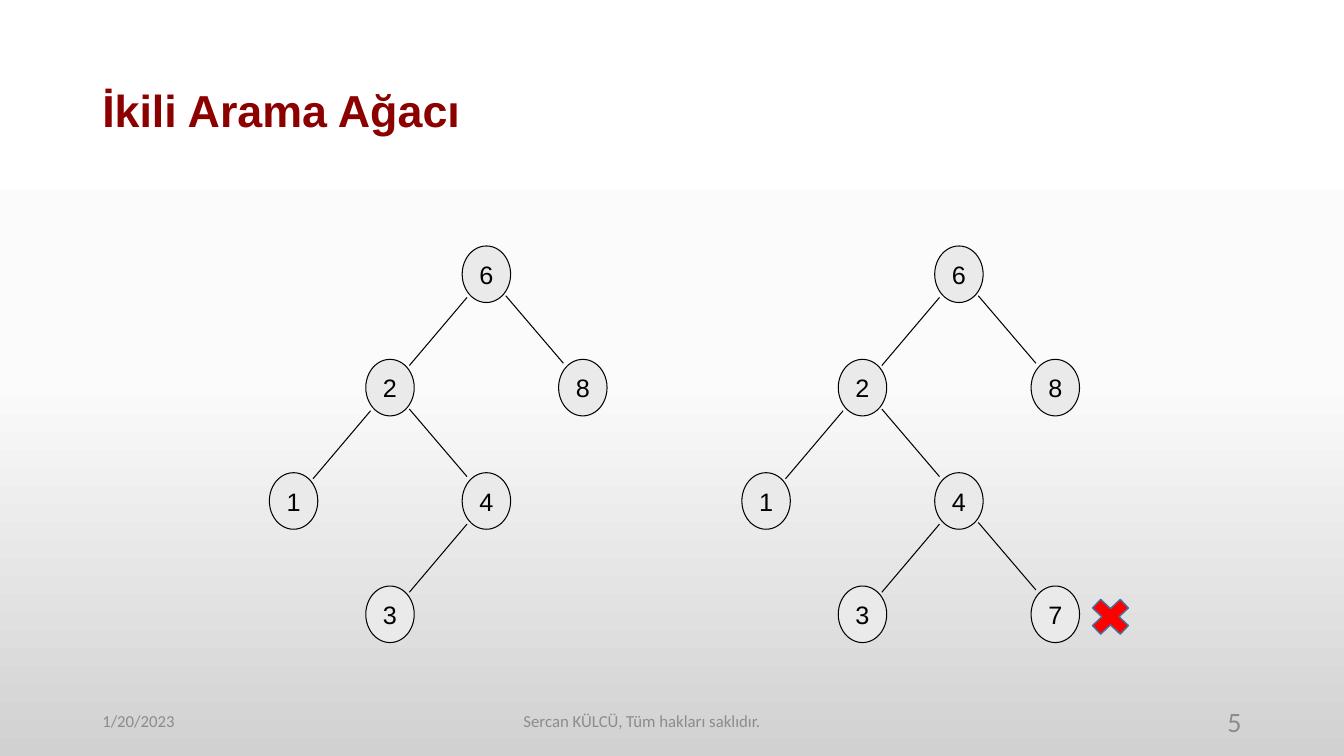
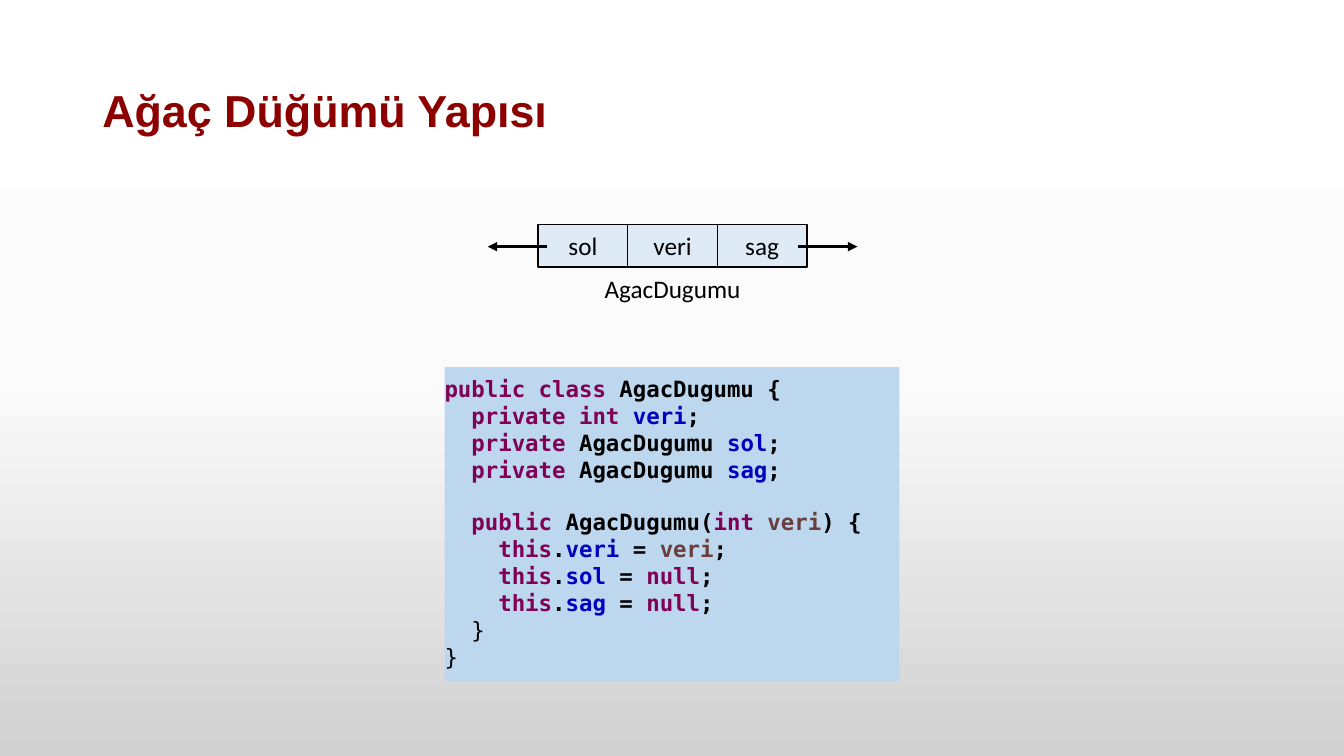
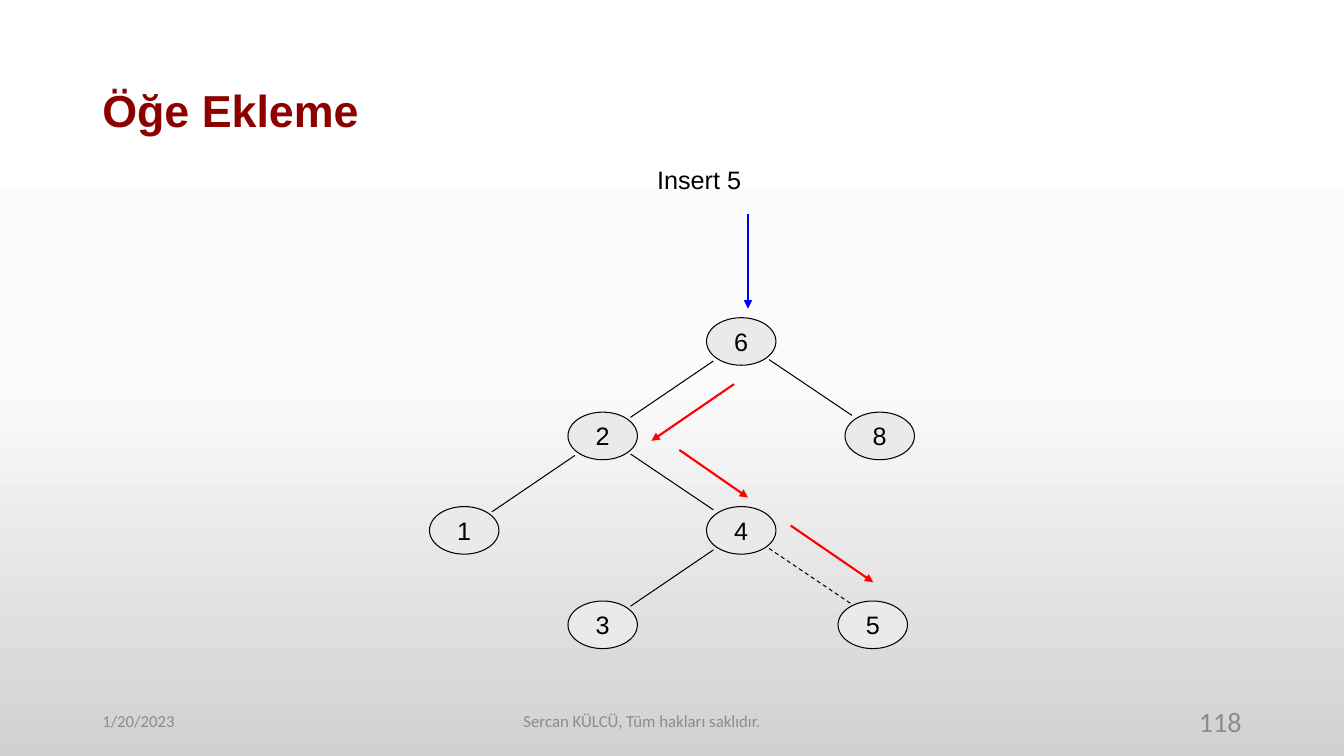
from copy import deepcopy

from pptx import Presentation
from pptx.dml.color import RGBColor
from pptx.enum.dml import MSO_LINE
from pptx.enum.shapes import MSO_CONNECTOR, MSO_SHAPE
from pptx.enum.text import MSO_ANCHOR as ANCHOR, PP_ALIGN as ALIGN
from pptx.oxml.ns import qn
from pptx.oxml.xmlchemy import OxmlElement
from pptx.util import Pt

COLORS = {
    "title": "8C0000", "footer": "8C8C8C", "ink": "000000",
    "node": "EAEAEA", "cell": "DEEBF7", "code_box": "BDD7EE",
    "insert": "0000FF", "path": "FF0000", "cross_line": "43739E",
    "keyword": "7F0055", "field": "0000C0", "param": "6A3E3E",
}
BACKGROUND = [(0, "FFFFFF"), (0.5, "FBFBFB"), (1, "D1D1D1")]
SANS, BODY, MONO = "Arial", "Calibri", "DejaVu Sans Mono"

# Tree content: value -> (column, row), and parent-child pairs
BASE_NODES = {6: (2, 0), 2: (1, 1), 8: (3, 1), 1: (0, 2), 4: (2, 2), 3: (1, 3)}
BASE_EDGES = [(6, 2), (6, 8), (2, 1), (2, 4), (4, 3)]


def rgb(name):
    return RGBColor.from_string(COLORS[name])


def style_run(r, size, font, color, bold=False):
    r.font.size, r.font.name, r.font.bold = Pt(size), font, bold
    r.font.color.rgb = rgb(color)


def set_text(sp, text, size, font, color="ink", align=ALIGN.LEFT, bold=False,
             anchor=ANCHOR.MIDDLE):
    tf = sp.text_frame
    tf.word_wrap, tf.vertical_anchor = True, anchor
    tf.text = text
    p = tf.paragraphs[0]
    p.alignment = align
    style_run(p.runs[0], size, font, color, bold)
    return p


def add_text(shapes, box, text, size, font, **style):
    sp = shapes.add_textbox(*map(Pt, box))
    return set_text(sp, text, size, font, **style)


def add_box(shapes, kind, box, fill, line=None, width=1):
    sp = shapes.add_shape(kind, *map(Pt, box))
    sp.shadow.inherit = False
    sp.fill.solid()
    sp.fill.fore_color.rgb = rgb(fill)
    if line:
        sp.line.color.rgb = rgb(line)
        sp.line.width = Pt(width)
    else:
        sp.line.fill.background()
    return sp


def add_line(shapes, start, end, color="ink", width=0.75, arrow=False, dash=False):
    c = shapes.add_connector(MSO_CONNECTOR.STRAIGHT, *map(Pt, (*start, *end)))
    c.line.color.rgb = rgb(color)
    c.line.width = Pt(width)
    if dash:
        c.line.dash_style = MSO_LINE.DASH
    sp_pr = c._element.spPr
    if arrow:
        tail = OxmlElement("a:tailEnd")
        tail.set("type", "triangle")
        sp_pr.find(qn("a:ln")).append(tail)
    sp_pr.append(OxmlElement("a:effectLst"))


def set_background(master):
    fill = master.background.fill
    fill.gradient()
    fill.gradient_angle = 270
    gs_list = next(master.element.iter(qn("a:gsLst")))
    gs_list.append(deepcopy(gs_list[0]))
    for stop, (pos, color) in zip(fill.gradient_stops, BACKGROUND):
        stop.position = pos
        stop.color.rgb = RGBColor.from_string(color)


def new_slide(prs, title, number=None):
    shapes = prs.slides.add_slide(prs.slide_layouts[6]).shapes
    p = add_text(shapes, (66, 28.8, 828, 104.4), title, 32, SANS,
                 color="title", bold=True)
    p.line_spacing = 0.9
    if number:
        footers = [(66, 216, "1/20/2023", 12, ALIGN.LEFT),
                   (185.6, 546, "Sercan KÜLCÜ, Tüm hakları saklıdır.", 12, ALIGN.CENTER),
                   (678, 216, number, 20, ALIGN.RIGHT)]
        for x, w, text, size, align in footers:
            add_text(shapes, (x, 500.5, w, 28.75), text, size, BODY,
                     color="footer", align=align)
    return shapes


def draw_tree(shapes, box, node_size, nodes, edges, dashed=()):
    """Spread nodes over a grid of 4 columns and 4 rows inside the box."""
    shapes = shapes.add_group_shape().shapes
    x, y, w, h = box
    nw, nh = node_size
    dx, dy = (w - nw) / 3, (h - nh) / 3

    for value, (col, row) in nodes.items():
        sp = add_box(shapes, MSO_SHAPE.OVAL, (x + col * dx, y + row * dy, nw, nh),
                     "node", "ink", 0.75)
        set_text(sp, str(value), 18, SANS, align=ALIGN.CENTER)
        tf = sp.text_frame
        tf.word_wrap = False
        tf.margin_left = tf.margin_right = tf.margin_top = tf.margin_bottom = 0

    def on_rim(value, fx, fy):
        col, row = nodes[value]
        return x + round(col) * dx + (0.5 + fx) * nw, y + row * dy + (0.5 + fy) * nh

    for parent, child in edges:
        if nodes[child][0] < nodes[parent][0]:
            ends = on_rim(parent, -0.4, 0.41), on_rim(child, 0.4, -0.39)
        else:
            ends = on_rim(parent, 0.4, 0.38), on_rim(child, -0.4, -0.43)
        add_line(shapes, *ends, dash=(parent, child) in dashed)


def draw_node_record(shapes, box):
    """Three cells with a pointer out of each end, and a caption below."""
    shapes = shapes.add_group_shape().shapes
    x, y, w, h = box
    cell_w = w / 3
    for i, name in enumerate(["sol", "veri", "sag"]):
        sp = add_box(shapes, MSO_SHAPE.RECTANGLE, (x + i * cell_w, y, cell_w, h),
                     "cell", "ink")
        set_text(sp, name, 18, BODY, align=ALIGN.CENTER)
    for edge, side in [(x, -1), (x + w, 1)]:
        add_line(shapes, (edge - side * 6.5, y + 15.8), (edge + side * 36, y + 15.8),
                 width=2.25, arrow=True)
    add_text(shapes, (x, y + h + 0.7, w, 29), "AgacDugumu", 18, BODY,
             align=ALIGN.CENTER, anchor=ANCHOR.TOP)


def code_lines():
    def field(kind, kind_color, name):
        return [("  private ", "keyword"), (kind, kind_color), (name, "field"), (";", "ink")]

    def assign(name, value, value_color):
        return [("    this", "keyword"), (".", "ink"), (name + " ", "field"),
                ("= ", "ink"), (value, value_color), (";", "ink")]

    return [
        [("public class ", "keyword"), ("AgacDugumu {", "ink")],
        field("int ", "keyword", "veri"),
        field("AgacDugumu ", "ink", "sol"),
        field("AgacDugumu ", "ink", "sag"),
        [("  public ", "keyword"), ("AgacDugumu(", "ink"), ("int ", "keyword"),
         ("veri", "param"), (") {", "ink")],
        assign("veri", "veri", "param"),
        assign("sol", "null", "keyword"),
        assign("sag", "null", "keyword"),
        [("  }", "ink")],
        [("}", "ink")],
    ]


def draw_code(shapes, box, lines, gap_before):
    tf = add_box(shapes, MSO_SHAPE.RECTANGLE, box, "code_box").text_frame
    tf.word_wrap, tf.vertical_anchor = True, ANCHOR.TOP
    tf.margin_left = tf.margin_right = 0
    tf.margin_top = tf.margin_bottom = Pt(5.76)
    for i, line in enumerate(lines):
        p = tf.add_paragraph() if i else tf.paragraphs[0]
        p.alignment = ALIGN.LEFT
        if i == gap_before:
            p.space_before = Pt(18.6)
        for text, color in line:
            r = p.add_run()
            r.text = text
            style_run(r, 16, MONO, color, bold=text.strip() != "}")


def draw_insertion(shapes, x, y):
    """Label and arrows that follow the new value down the tree at x, y."""
    add_text(shapes, (x + 155.5, y - 113, 130, 34.5), "Insert 5", 18, SANS,
             anchor=ANCHOR.TOP)
    steps = [((227.5, -74), (227.5, -6.5), "insert"),
             ((217.5, 47.5), (158.5, 88), "path"),
             ((178.5, 94.5), (227.5, 128.5), "path"),
             ((258, 148.5), (317, 189), "path")]
    for (x1, y1), (x2, y2), color in steps:
        add_line(shapes, (x + x1, y + y1), (x + x2, y + y2), color, 1.5, arrow=True)


def search_tree_slide(prs):
    shapes = new_slide(prs, "İkili Arama Ağacı", "5")
    y, w, h = 175.7, 241.2, 283.3
    node = (34.6, 40.4)
    draw_tree(shapes, (192.4, y, w, h), node, BASE_NODES, BASE_EDGES)
    # Tree with a misplaced value, marked by a cross
    x = 529.9
    draw_tree(shapes, (x, y, w, h), node, {**BASE_NODES, 7: (3, 3)},
              BASE_EDGES + [(4, 7)])
    add_box(shapes, MSO_SHAPE.MATH_MULTIPLY, (x + w + 3, y + h - 36.4, 38.2, 36),
            "path", "cross_line")


def node_structure_slide(prs):
    shapes = new_slide(prs, "Ağaç Düğümü Yapısı")
    draw_node_record(shapes, (384.4, 160.4, 192, 30.3))
    draw_code(shapes, (317.6, 262.2, 324.8, 224.8), code_lines(), gap_before=4)


def insertion_slide(prs):
    shapes = new_slide(prs, "Öğe Ekleme", "118")
    x, y = 306.8, 226.9
    draw_tree(shapes, (x, y, 346.4, 236.4), (49.6, 34), {**BASE_NODES, 5: (2.95, 3)},
              BASE_EDGES + [(4, 5)], dashed=[(4, 5)])
    draw_insertion(shapes, x, y)


def main():
    prs = Presentation()
    prs.slide_width, prs.slide_height = Pt(960), Pt(540)
    set_background(prs.slide_master)
    search_tree_slide(prs)
    node_structure_slide(prs)
    insertion_slide(prs)
    prs.save("out.pptx")


if __name__ == "__main__":
    main()
